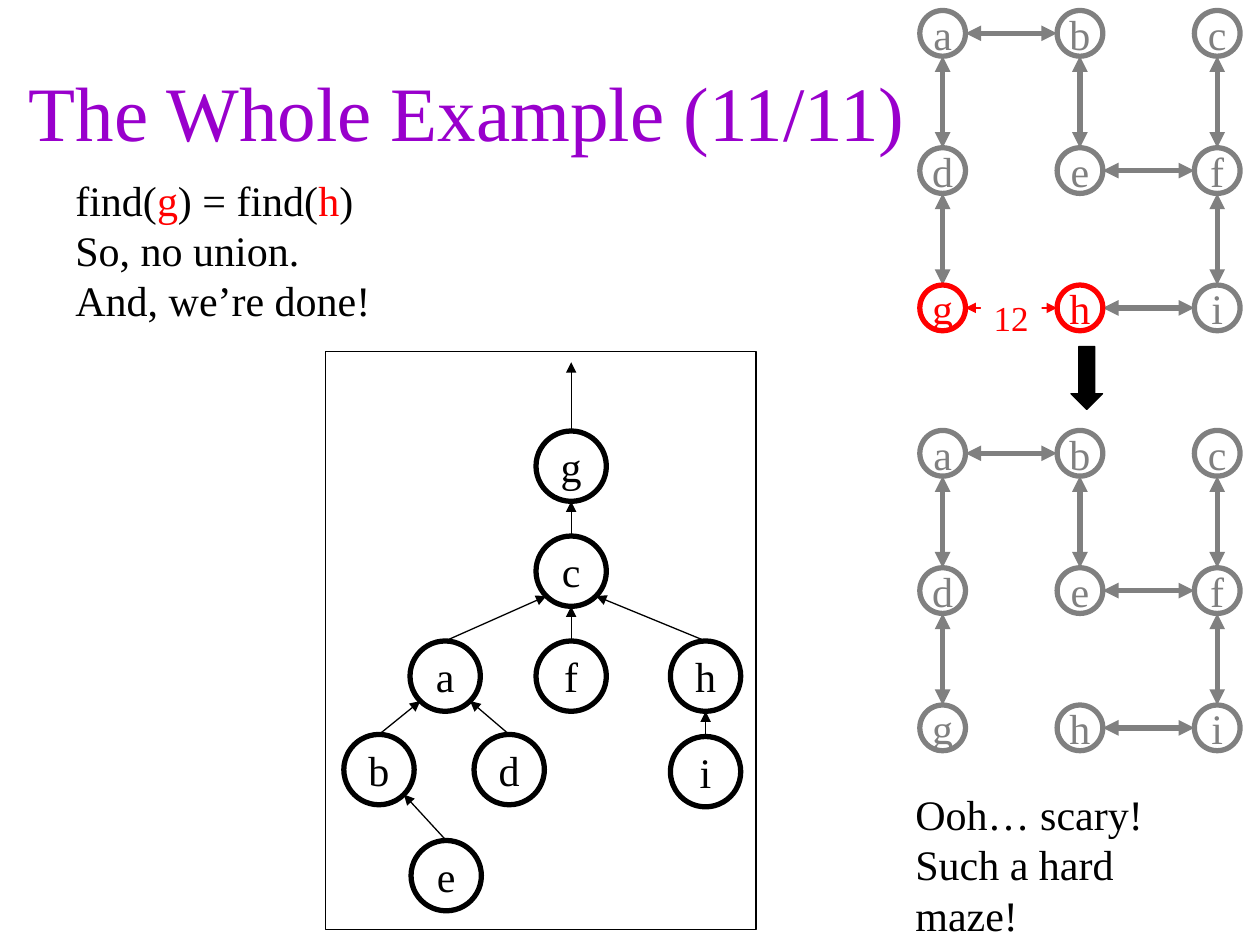
from lxml.etree import SubElement
from pptx import Presentation
from pptx.dml.color import RGBColor
from pptx.enum.shapes import MSO_CONNECTOR, MSO_SHAPE
from pptx.enum.text import MSO_ANCHOR, MSO_AUTO_SIZE, PP_ALIGN
from pptx.oxml.ns import qn
from pptx.util import Inches, Pt

COLUMNS, ROWS = 120, 90
BLACK, WHITE, GRAY, RED, PURPLE = "000000", "FFFFFF", "808080", "FF0000", "9900CC"
HEAVY, THIN = 3, 0.75
MAZE_NAMES = ("abc", "def", "ghi")
MAZE_EDGES = ("ab", "ad", "dg", "be", "ef", "cf", "fi", "hi")
TREE_CENTRES = {
    "g": (23.4, 10.9), "c": (23.4, 20.9), "a": (11.4, 30.9),
    "f": (23.4, 30.9), "h": (36.2, 30.9), "b": (5.1, 39.8),
    "d": (17.5, 39.8), "i": (36.2, 40), "e": (11.5, 49.9),
}
TREE_PARENTS = {"c": "g", "a": "c", "f": "c", "h": "c", "b": "a",
                "d": "a", "i": "h", "e": "b"}


def cells(*counts):
    """Turn counts of grid cells into lengths on the slide."""
    return [Inches(10 / COLUMNS * count) for count in counts]


def colour(value):
    """Turn a hex string into a colour."""
    return RGBColor.from_string(value)


def apply(target, **values):
    """Set every given attribute on the target."""
    for name, value in values.items():
        setattr(target, name, value)


def write(frame, lines, size=24, align=PP_ALIGN.LEFT, **frame_format):
    """Fill a text frame with lines, each a list of (text, colour) spans."""
    apply(frame, **frame_format)
    for number, line in enumerate(lines):
        para = frame.add_paragraph() if number else frame.paragraphs[0]
        para.alignment = align
        for text, ink in line:
            span = para.add_run()
            span.text = text
            apply(span.font, name="Times New Roman", size=Pt(size))
            span.font.color.rgb = colour(ink)


def add_text(page, box, lines, **text_format):
    """Add a text box that grows with its lines."""
    frame = page.shapes.add_textbox(*cells(*box)).text_frame
    write(frame, lines, word_wrap=False,
          auto_size=MSO_AUTO_SIZE.SHAPE_TO_FIT_TEXT, **text_format)


def add_figure(page, kind, box, fill=None, line=None, width=THIN):
    """Add a preset shape with a plain fill and outline."""
    figure = page.shapes.add_shape(kind, *cells(*box))
    figure.shadow.inherit = False
    if fill:
        figure.fill.solid()
        figure.fill.fore_color.rgb = colour(fill)
    else:
        figure.fill.background()
    if line:
        figure.line.color.rgb = colour(line)
        figure.line.width = Pt(width)
    else:
        figure.line.fill.background()
    return figure


def add_node(page, centre, size, name, ink):
    """Add a lettered circle around a centre."""
    left, top = (value - size / 2 for value in centre)
    node = add_figure(page, MSO_SHAPE.OVAL, (left, top, size, size),
                      line=ink, width=HEAVY)
    write(node.text_frame, [[(name, ink)]], align=PP_ALIGN.CENTER,
          word_wrap=False, vertical_anchor=MSO_ANCHOR.MIDDLE)


def add_arrow(page, start, end, ink, width, ends=("tailEnd",)):
    """Add a straight line with triangles at the named ends."""
    arrow = page.shapes.add_connector(MSO_CONNECTOR.STRAIGHT, *cells(*start, *end))
    arrow.line.color.rgb = colour(ink)
    arrow.line.width = Pt(width)
    outline = arrow.line._get_or_add_ln()
    for name in ends:
        SubElement(outline, qn(f"a:{name}"), type="triangle")
    SubElement(arrow._element.spPr, qn("a:effectLst"))


def add_maze(page, box, tested="", weight=""):
    """Draw the maze graph in a box, with the tested edge in red."""
    left, top, width, height = box
    size = 4.35
    across, down = (width - size) / 2, (height - size) / 2
    centres = {
        name: (left + size / 2 + column * across, top + size / 2 + row * down)
        for row, names in enumerate(MAZE_NAMES)
        for column, name in enumerate(names)
    }
    for first, last in MAZE_EDGES + ((tested,) if tested else ()):
        (x1, y1), (x2, y2) = centres[first], centres[last]
        reach_x = size / 2 if x2 > x1 else 0
        reach_y = size / 2 if y2 > y1 else 0
        red = first + last == tested
        add_arrow(page, (x1 + reach_x, y1 + reach_y), (x2 - reach_x, y2 - reach_y),
                  RED if red else GRAY, THIN if red else HEAVY,
                  ("headEnd", "tailEnd"))
        if red:
            label = add_figure(page, MSO_SHAPE.RECTANGLE,
                               ((x1 + x2) / 2 - 2.9, y1 - 1.7, 5.8, 5.3), fill=WHITE)
            write(label.text_frame, [[(weight, RED)]], size=20,
                  align=PP_ALIGN.CENTER, word_wrap=False,
                  vertical_anchor=MSO_ANCHOR.TOP)
    for name, centre in centres.items():
        add_node(page, centre, size, name, RED if name in tested else GRAY)


def add_tree(page, box):
    """Draw the framed union-find tree, each child pointing to its parent."""
    left, top, _, _ = box
    size = 6.7
    radius, diagonal = size / 2, size / 2 * 0.5 ** 0.5
    add_figure(page, MSO_SHAPE.RECTANGLE, box, fill=WHITE, line=BLACK)
    centres = {name: (left + x, top + y) for name, (x, y) in TREE_CENTRES.items()}
    for name, centre in centres.items():
        add_node(page, centre, size, name, BLACK)
        x, y = centre
        if name in TREE_PARENTS:
            end_x, end_y = centres[TREE_PARENTS[name]]
            side = (x > end_x) - (x < end_x)
            end = (end_x + side * diagonal, end_y + (diagonal if side else radius))
        else:
            end = (x, top + 1)
        add_arrow(page, (x, y - radius), end, BLACK, THIN)


def add_title(page, box, text):
    """Place and format the title placeholder."""
    title = page.shapes.title
    apply(title, **dict(zip(("left", "top", "width", "height"), cells(*box))))
    write(title.text_frame, [[(text, PURPLE)]], size=44, align=PP_ALIGN.CENTER,
          word_wrap=True, vertical_anchor=MSO_ANCHOR.MIDDLE)


def main():
    """Build the slide and save the deck."""
    deck = Presentation()
    deck.slide_width, deck.slide_height = cells(COLUMNS, ROWS)
    page = deck.slides.add_slide(deck.slide_layouts[5])
    add_title(page, (1, 3, 87, 15), "The Whole Example (11/11)")
    add_text(page, (6, 16, 30.5, 15.6), [
        [("find(", BLACK), ("g", RED), (") = find(", BLACK), ("h", RED), (")", BLACK)],
        [("So, no union.", BLACK)],
        [("And, we’re done!", BLACK)],
    ])
    add_maze(page, (87.6, 1, 30.5, 30.5), "gh", "12")
    add_tree(page, (31, 33.5, 41, 55))
    add_maze(page, (87.6, 41, 30.5, 30.5))
    add_figure(page, MSO_SHAPE.DOWN_ARROW, (102, 33, 3, 6), fill=BLACK, line=BLACK)
    add_text(page, (86, 74.5, 32, 10.8),
             [[("Ooh… scary!", BLACK)], [("Such a hard maze!", BLACK)]])
    deck.save("out.pptx")


if __name__ == "__main__":
    main()
